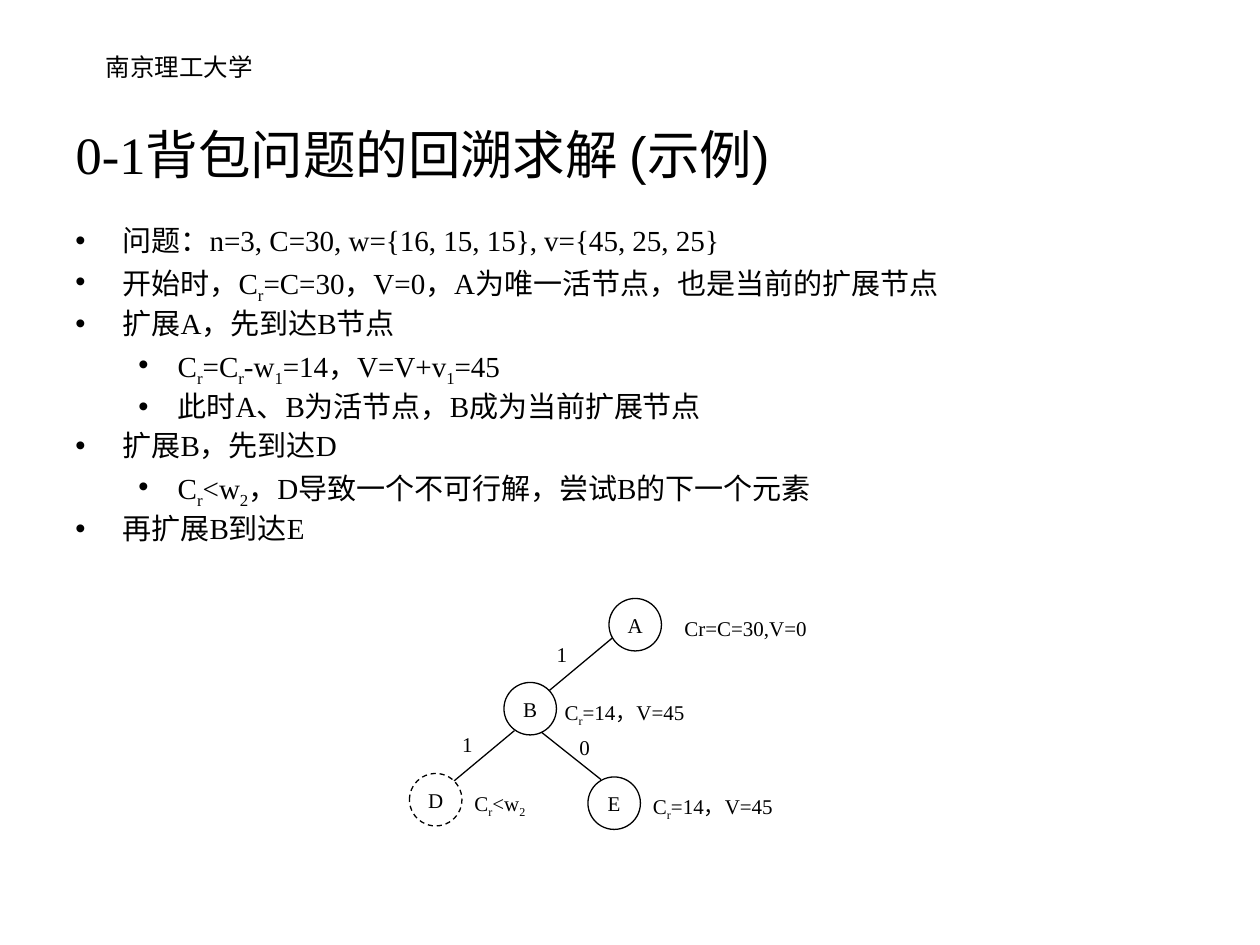
from lxml import etree
from pptx import Presentation
from pptx.dml.color import RGBColor
from pptx.enum.dml import MSO_LINE
from pptx.enum.shapes import MSO_CONNECTOR, MSO_SHAPE
from pptx.enum.text import MSO_ANCHOR, MSO_AUTO_SIZE, PP_ALIGN
from pptx.oxml.ns import qn
from pptx.util import Pt

STRAIGHT = MSO_CONNECTOR.STRAIGHT
ELLIPSE = MSO_SHAPE.OVAL
DASH = MSO_LINE.DASH
MIDDLE, TOP = MSO_ANCHOR.MIDDLE, MSO_ANCHOR.TOP
NO_RESIZE, GROW = MSO_AUTO_SIZE.NONE, MSO_AUTO_SIZE.SHAPE_TO_FIT_TEXT
LEFT, CENTER = PP_ALIGN.LEFT, PP_ALIGN.CENTER

BLACK = RGBColor(0, 0, 0)
WHITE = RGBColor(255, 255, 255)
SERIF, SANS = "Times New Roman", "Arial"
LINE_WIDTH = 0.75
NODE_SIZE = 30
LABEL_SIZE = 12

# An underscore lowers the character after it.
STEPS = [
    (0, "问题：n=3, C=30, w={16, 15, 15}, v={45, 25, 25}"),
    (0, "开始时，C_r=C=30，V=0，A为唯一活节点，也是当前的扩展节点"),
    (0, "扩展A，先到达B节点"),
    (1, "C_r=C_r-w_1=14，V=V+v_1=45"),
    (1, "此时A、B为活节点，B成为当前扩展节点"),
    (0, "扩展B，先到达D"),
    (1, "C_r<w_2，D导致一个不可行解，尝试B的下一个元素"),
    (0, "再扩展B到达E"),
]
INDENTS = [(27, -27), (58.5, -22.5)]

# Name, node position in the tree, state, state offset from node, state width
NODES = [
    ("A", 114, 0, "Cr=C=30,V=0", 36, 86),
    ("B", 54, 48, "C_r=14，V=45", 27.5, 90),
    ("D", 0, 100, "C_r<w_2", 30, 46),
    ("E", 102, 102, "C_r=14，V=45", 30, 90),
]
# Start, end, choice, choice position
EDGES = [
    ((116, 22.5), (80, 52.5), "1", (77, 21)),
    ((60, 75.5), (24, 105.5), "1", (23, 72.5)),
    ((75.5, 76.5), (109.5, 103.5), "0", (90, 74)),
]


def style(paragraph, size, font=SERIF, align=LEFT):
    paragraph.alignment = align
    paragraph.font.size = Pt(size)
    paragraph.font.name = font
    paragraph.font.color.rgb = BLACK


def add_run(paragraph, text, font=None, lowered=False):
    run = paragraph.add_run()
    run.text = text
    if font:
        run.font.name = font
    if lowered:
        run._r.get_or_add_rPr().set("baseline", "-25000")


def add_marked_text(paragraph, text):
    """Lower each character after an underscore and set 节 in the sans font."""
    for index, part in enumerate(text.split("_")):
        if index:
            add_run(paragraph, part[0], lowered=True)
            part = part[1:]
        for position, piece in enumerate(part.split("节")):
            if position:
                add_run(paragraph, "节", SANS)
            if piece:
                add_run(paragraph, piece)


def add_label(slide, text, box, size=LABEL_SIZE, font=SERIF, align=LEFT, wrap=False):
    label = slide.shapes.add_textbox(*map(Pt, box))
    frame = label.text_frame
    frame.word_wrap = wrap
    frame.auto_size = NO_RESIZE if wrap else GROW
    paragraph = frame.paragraphs[0]
    style(paragraph, size, font, align)
    add_marked_text(paragraph, text)


def add_title(slide, box):
    title = slide.shapes.title
    title.left, title.top, title.width, title.height = map(Pt, box)
    frame = title.text_frame
    frame.auto_size = NO_RESIZE
    frame.vertical_anchor = MIDDLE
    paragraph = frame.paragraphs[0]
    style(paragraph, 30)
    add_run(paragraph, "0-1背包问题的回溯求解 ")
    add_run(paragraph, "(示例)", SANS)


def add_bullet(paragraph, level):
    properties = paragraph._p.get_or_add_pPr()
    margin, indent = INDENTS[level]
    properties.set("marL", str(Pt(margin)))
    properties.set("indent", str(Pt(indent)))
    color = etree.SubElement(properties, qn("a:buClr"))
    etree.SubElement(color, qn("a:srgbClr"), val=str(BLACK))
    etree.SubElement(properties, qn("a:buFont"), typeface=SANS)
    etree.SubElement(properties, qn("a:buChar"), char="•")


def add_steps(slide, box):
    frame = slide.shapes.add_textbox(*map(Pt, box)).text_frame
    frame.word_wrap = True
    frame.vertical_anchor = TOP
    for index, (level, text) in enumerate(STEPS):
        paragraph = frame.add_paragraph() if index else frame.paragraphs[0]
        paragraph.level = level
        add_bullet(paragraph, level)
        paragraph.line_spacing = 0.9
        paragraph.space_before = Pt(4.5 if index else 0)
        style(paragraph, 16.6)
        add_marked_text(paragraph, text)


def add_edge(slide, start, end):
    edge = slide.shapes.add_connector(STRAIGHT, *map(Pt, start + end))
    edge.line.color.rgb = BLACK
    edge.line.width = Pt(LINE_WIDTH)
    etree.SubElement(edge._element.spPr, qn("a:effectLst"))


def add_node(slide, name, left, top):
    node = slide.shapes.add_shape(ELLIPSE, *map(Pt, (left, top, NODE_SIZE, NODE_SIZE)))
    node.shadow.inherit = False
    node.fill.solid()
    node.fill.fore_color.rgb = WHITE
    node.line.color.rgb = BLACK
    node.line.width = Pt(LINE_WIDTH)
    if name == "D":  # infeasible
        node.line.dash_style = DASH
    frame = node.text_frame
    frame.word_wrap = False
    frame.vertical_anchor = MIDDLE
    paragraph = frame.paragraphs[0]
    style(paragraph, LABEL_SIZE, align=CENTER)
    add_run(paragraph, name)


def add_search_tree(slide, left, top):
    for (x1, y1), (x2, y2), choice, (x, y) in EDGES:
        add_edge(slide, (left + x1, top + y1), (left + x2, top + y2))
        add_label(slide, choice, (left + x, top + y, 20, 21.5))
    for name, x, y, state, offset, width in NODES:
        add_node(slide, name, left + x, top + y)
        add_label(slide, state, (left + x + offset, top + y + 6, width, 22))


def main():
    presentation = Presentation()
    presentation.slide_width, presentation.slide_height = Pt(720), Pt(540)
    slide = presentation.slides.add_slide(presentation.slide_layouts[5])
    add_label(slide, "南京理工大学", (-11.5, 26, 228, 37.5), 14, SANS, CENTER, wrap=True)
    add_title(slide, (36, 42.5, 648, 90))
    add_steps(slide, (36, 126, 648, 216))
    add_search_tree(slide, 234, 342)
    presentation.save("out.pptx")


if __name__ == "__main__":
    main()
